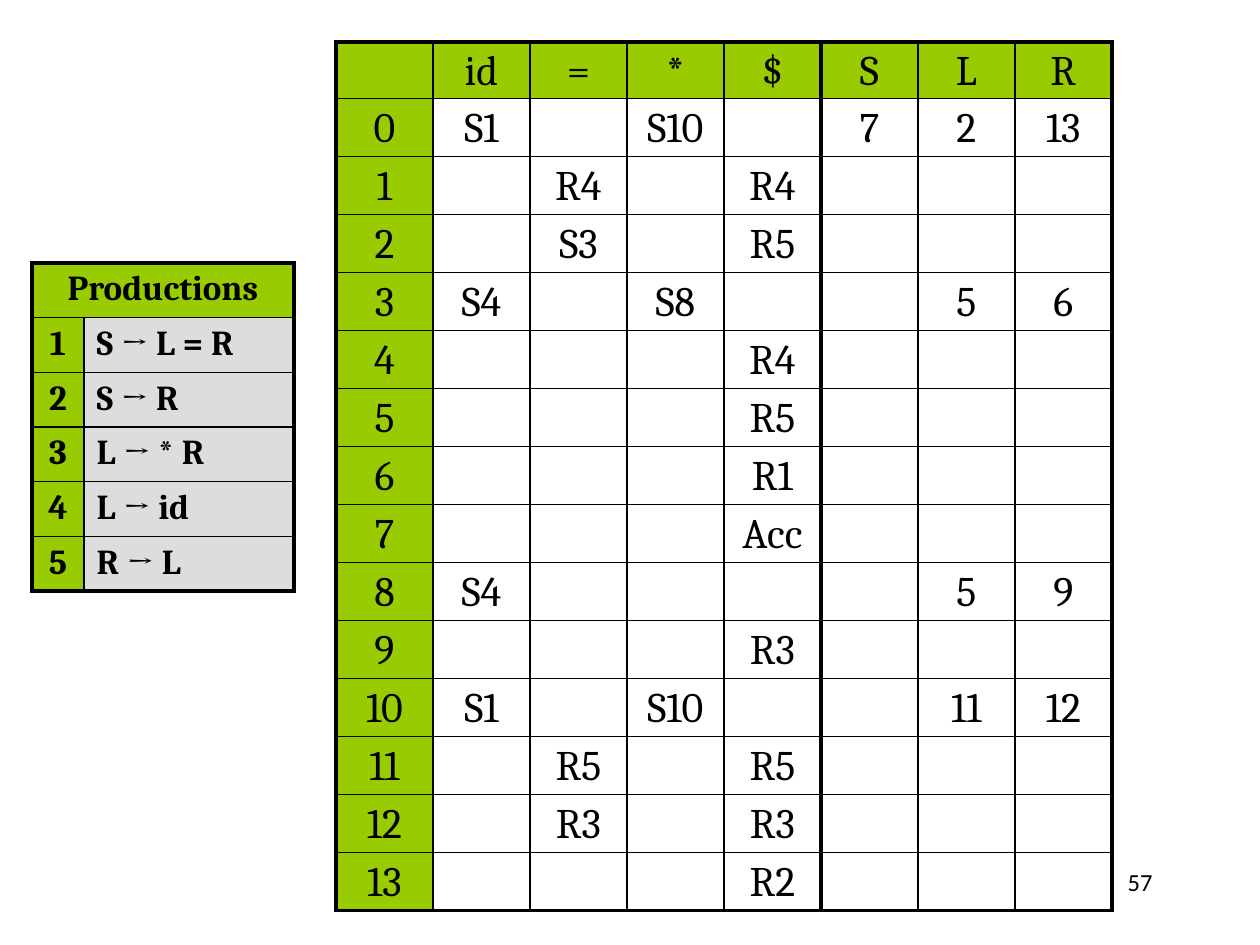
from lxml import etree
from pptx import Presentation
from pptx.dml.color import RGBColor
from pptx.enum.text import PP_ALIGN
from pptx.oxml.ns import qn
from pptx.util import Emu, Pt

CENTER, LEFT, RIGHT = PP_ALIGN.CENTER, PP_ALIGN.LEFT, PP_ALIGN.RIGHT
BLACK = RGBColor(0x00, 0x00, 0x00)
GREEN = RGBColor(0x99, 0xCC, 0x00)
GRAY = RGBColor(0xDD, 0xDD, 0xDD)
WHITE = RGBColor(0xFF, 0xFF, 0xFF)
THIN, OUTER, DIVIDER = 1, 2.25, 3

SYMBOLS = ["id", "=", "*", "$", "S", "L", "R"]
STATES = [
    {"id": "S1", "*": "S10", "S": "7", "L": "2", "R": "13"},
    {"=": "R4", "$": "R4"},
    {"=": "S3", "$": "R5"},
    {"id": "S4", "*": "S8", "L": "5", "R": "6"},
    {"$": "R4"},
    {"$": "R5"},
    {"$": "R1"},
    {"$": "Acc"},
    {"id": "S4", "L": "5", "R": "9"},
    {"$": "R3"},
    {"id": "S1", "*": "S10", "L": "11", "R": "12"},
    {"=": "R5", "$": "R5"},
    {"=": "R3", "$": "R3"},
    {"$": "R2"},
]
PRODUCTIONS = ["S → L = R", "S → R", "L → * R", "L → id", "R → L"]
PAGE_NUMBER = "57"


def px(length):
    return Emu(round(length * 914400 / 126))


def set_borders(cell, widths):
    properties = cell._tc.get_or_add_tcPr()
    for side, width in zip("LRTB", widths):
        line = etree.SubElement(properties, qn(f"a:ln{side}"), w=str(Pt(width)))
        fill = etree.SubElement(line, qn("a:solidFill"))
        etree.SubElement(fill, qn("a:srgbClr"), val=str(BLACK))


def write(paragraph, text, size, font, align, bold=False):
    paragraph.text = text
    paragraph.alignment = align
    paragraph.font.size = Pt(size)
    paragraph.font.name = font
    paragraph.font.bold = bold
    paragraph.font.color.rgb = BLACK


def add_grid(slide, left, top, widths, heights, rows, size, body_fill,
             body_align=CENTER, bold=False, margins=None, divider=None,
             title_spans=False):
    row_count, column_count = len(heights), len(widths)
    table = slide.shapes.add_table(
        row_count, column_count, px(left), px(top),
        px(sum(widths)), px(sum(heights))).table
    table.first_row = table.horz_banding = False
    for column, width in zip(table.columns, widths):
        column.width = px(width)
    for row, height in zip(table.rows, heights):
        row.height = px(height)
    if title_spans:
        table.cell(0, 0).merge(table.cell(0, column_count - 1))

    for r, texts in enumerate(rows):
        for c, text in enumerate(texts):
            cell = table.cell(r, c)
            end = c + (cell.span_width if cell.is_merge_origin else 1)
            edges = {0: OUTER, column_count: OUTER, divider: DIVIDER}
            set_borders(cell, (
                edges.get(c, THIN), edges.get(end, THIN),
                OUTER if r == 0 else THIN,
                OUTER if r == row_count - 1 else THIN))
            heading = r == 0 or c == 0
            cell.fill.solid()
            cell.fill.fore_color.rgb = GREEN if heading else body_fill
            if margins:
                (cell.margin_left, cell.margin_top, cell.margin_right,
                 cell.margin_bottom) = map(px, margins)
            write(cell.text_frame.paragraphs[0], text, size, "Cambria",
                  CENTER if heading else body_align, bold)


presentation = Presentation()
presentation.slide_width, presentation.slide_height = px(1260), px(945)
slide = presentation.slides.add_slide(presentation.slide_layouts[6])

page_box = slide.shapes.add_textbox(px(903), px(861), px(262), px(63))
page_box.text_frame.word_wrap = True
write(page_box.text_frame.paragraphs[0], PAGE_NUMBER, 14, "Calibri", RIGHT)

parse_rows = [[""] + SYMBOLS] + [
    [str(number)] + [actions.get(symbol, "") for symbol in SYMBOLS]
    for number, actions in enumerate(STATES)]
add_grid(slide, 336, 42, [97] * 8, [55] + [58] * len(STATES), parse_rows,
         24, WHITE, margins=(0, 6, 0, 0), divider=SYMBOLS.index("S") + 1)

production_rows = [["Productions", ""]] + [
    [str(number), rule] for number, rule in enumerate(PRODUCTIONS, 1)]
add_grid(slide, 32, 263, [52, 210], [53] * len(production_rows),
         production_rows, 20, GRAY, body_align=LEFT, bold=True,
         title_spans=True)

presentation.save("out.pptx")
